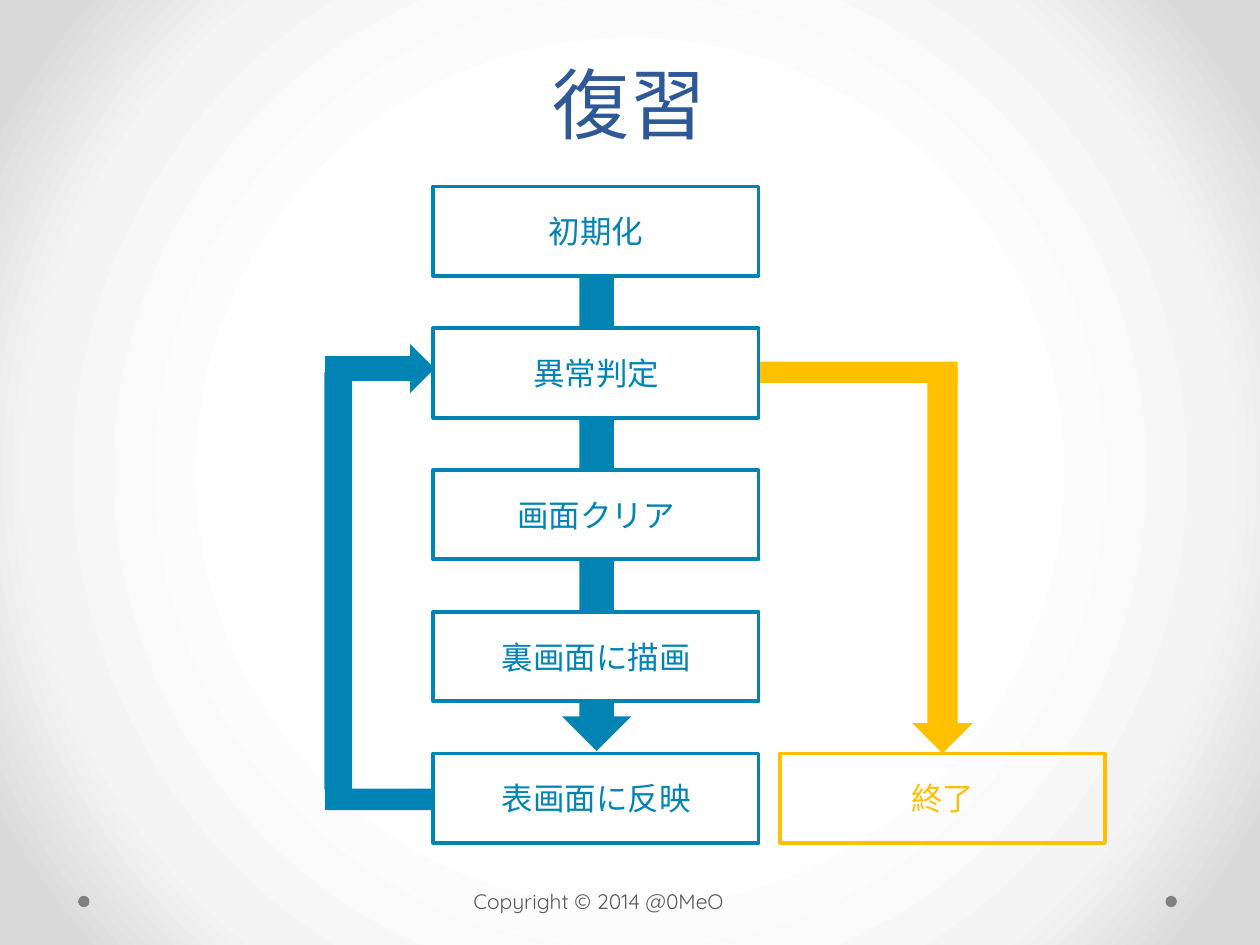
from dataclasses import dataclass

from lxml import etree
from pptx import Presentation
from pptx import util as u
from pptx.dml import color
from pptx.enum import shapes, text
from pptx.oxml import ns

COLUMNS, ROWS = 100, 75
DECK_WIDTH, DECK_HEIGHT = u.Inches(10), u.Inches(7.5)
KIND = shapes.MSO_SHAPE
COLORS = {
    "blue": "0183B4",
    "gold": "FFC000",
    "title": "2F5897",
    "footer": "595959",
    "dot": "808080",
    "white": "FFFFFF",
}
BACKDROP = [(50, "FFFFFF"), (76, "F4F4F4"), (92, "DADADA")]
STEPS = ["初期化", "異常判定", "画面クリア", "裏画面に描画", "表画面に反映"]
STEP_LEFT, STEP_TOP, STEP_PITCH = 34.4, 14.8, 11.25
STEP_WIDTH, STEP_HEIGHT = 25.8, 7.1
END_LEFT = 61.9
LAST_TOP = STEP_TOP + STEP_PITCH * (len(STEPS) - 1)


@dataclass(frozen=True)
class Area:
    column: float
    row: float
    columns: float
    rows: float

    def place(self) -> tuple[int, int, int, int]:
        return (
            round(DECK_WIDTH * self.column / COLUMNS),
            round(DECK_HEIGHT * self.row / ROWS),
            round(DECK_WIDTH * self.columns / COLUMNS),
            round(DECK_HEIGHT * self.rows / ROWS),
        )


@dataclass(frozen=True)
class Solid:
    kind: shapes.MSO_SHAPE
    area: Area
    fill: str
    turn: int = 0


@dataclass(frozen=True)
class Step:
    label: str
    column: float
    row: float
    ink: str
    fill: str | None


@dataclass(frozen=True)
class Caption:
    label: str
    area: Area
    font: str
    size: int
    ink: str
    frame: dict
    para: dict


BEHIND = [
    Solid(KIND.OVAL, Area(92.5, 71.1, 0.9, 0.9), "dot"),
    Solid(KIND.OVAL, Area(6.2, 71.1, 0.9, 0.9), "dot"),
    Solid(KIND.RECTANGLE, Area(60.2, 28.7, 15.8, 1.7), "gold"),
    Solid(KIND.DOWN_ARROW, Area(44.6, 21.9, 5.5, 37.7), "blue"),
]
IN_FRONT = [
    Solid(KIND.RECTANGLE, Area(25.8, 62.6, 8.7, 1.7), "blue"),
    Solid(KIND.RECTANGLE, Area(10.3, 45, 33.1, 2.2), "blue", 90),
    Solid(KIND.RIGHT_ARROW, Area(25.8, 27.3, 8.7, 3.9), "blue"),
    Solid(KIND.RIGHT_ARROW, Area(59.5, 42.1, 30.6, 4.8), "gold", 90),
]
FLOW = [
    Step(label, STEP_LEFT, STEP_TOP + STEP_PITCH * index, "blue", "white")
    for index, label in enumerate(STEPS)
]
FINISH = Step("終了", END_LEFT, LAST_TOP, "gold", None)
CAPTIONS = [
    Caption(
        "Copyright © 2014 @0MeO", Area(36.6, 70, 23, 3), "Quicksand", 12, "footer",
        {"word_wrap": False, "auto_size": text.MSO_AUTO_SIZE.SHAPE_TO_FIT_TEXT}, {},
    ),
    Caption(
        "復習", Area(5, 2.4, 90, 9.9), "Cabin", 44, "title",
        {"word_wrap": True, "vertical_anchor": text.MSO_ANCHOR.BOTTOM},
        {"alignment": text.PP_ALIGN.CENTER, "line_spacing": u.Pt(58)},
    ),
]


def rgb(name: str) -> color.RGBColor:
    return color.RGBColor.from_string(COLORS[name])


def apply(target, values: dict) -> None:
    for name, value in values.items():
        setattr(target, name, value)


def paint_background(page) -> None:
    page.background.fill.gradient()
    gradient = page.element.find(".//" + ns.qn("a:gradFill"))
    for child in list(gradient):
        gradient.remove(child)
    stops = etree.SubElement(gradient, ns.qn("a:gsLst"))
    for share, value in BACKDROP:
        stop = etree.SubElement(stops, ns.qn("a:gs"), pos=str(share * 1000))
        etree.SubElement(stop, ns.qn("a:srgbClr"), val=value)
    circle = etree.SubElement(gradient, ns.qn("a:path"), path="circle")
    etree.SubElement(circle, ns.qn("a:fillToRect"), {side: "50000" for side in "ltrb"})


def write(box, label: str, font: str, size: int, ink: str, frame: dict, para: dict) -> None:
    apply(box.text_frame, frame)
    line = box.text_frame.paragraphs[0]
    apply(line, para)
    span = line.add_run()
    span.text = label
    apply(span.font, {"name": font, "size": u.Pt(size)})
    span.font.color.rgb = rgb(ink)


def draw_solid(page, solid: Solid) -> None:
    shape = page.shapes.add_shape(solid.kind, *solid.area.place())
    apply(shape, {"rotation": solid.turn})
    shape.shadow.inherit = False
    shape.fill.solid()
    shape.fill.fore_color.rgb = rgb(solid.fill)
    shape.line.fill.background()


def draw_step(page, step: Step) -> None:
    area = Area(step.column, step.row, STEP_WIDTH, STEP_HEIGHT)
    box = page.shapes.add_shape(KIND.RECTANGLE, *area.place())
    box.shadow.inherit = False
    if step.fill:
        box.fill.solid()
        box.fill.fore_color.rgb = rgb(step.fill)
    else:
        box.fill.background()
    box.line.color.rgb = rgb(step.ink)
    box.line.width = u.Pt(2.25)
    write(
        box, step.label, "Cabin", 18, step.ink,
        {"word_wrap": True, "vertical_anchor": text.MSO_ANCHOR.MIDDLE},
        {"alignment": text.PP_ALIGN.CENTER},
    )


def draw_caption(page, caption: Caption) -> None:
    box = page.shapes.add_textbox(*caption.area.place())
    write(
        box, caption.label, caption.font, caption.size, caption.ink,
        caption.frame, caption.para,
    )


def main() -> None:
    deck = Presentation()
    apply(deck, {"slide_width": DECK_WIDTH, "slide_height": DECK_HEIGHT})
    page = deck.slides.add_slide(deck.slide_layouts[6])
    paint_background(page)
    for solid in BEHIND:
        draw_solid(page, solid)
    for caption in CAPTIONS:
        draw_caption(page, caption)
    for step in FLOW:
        draw_step(page, step)
    for solid in IN_FRONT:
        draw_solid(page, solid)
    draw_step(page, FINISH)
    deck.save("out.pptx")


if __name__ == "__main__":
    main()
